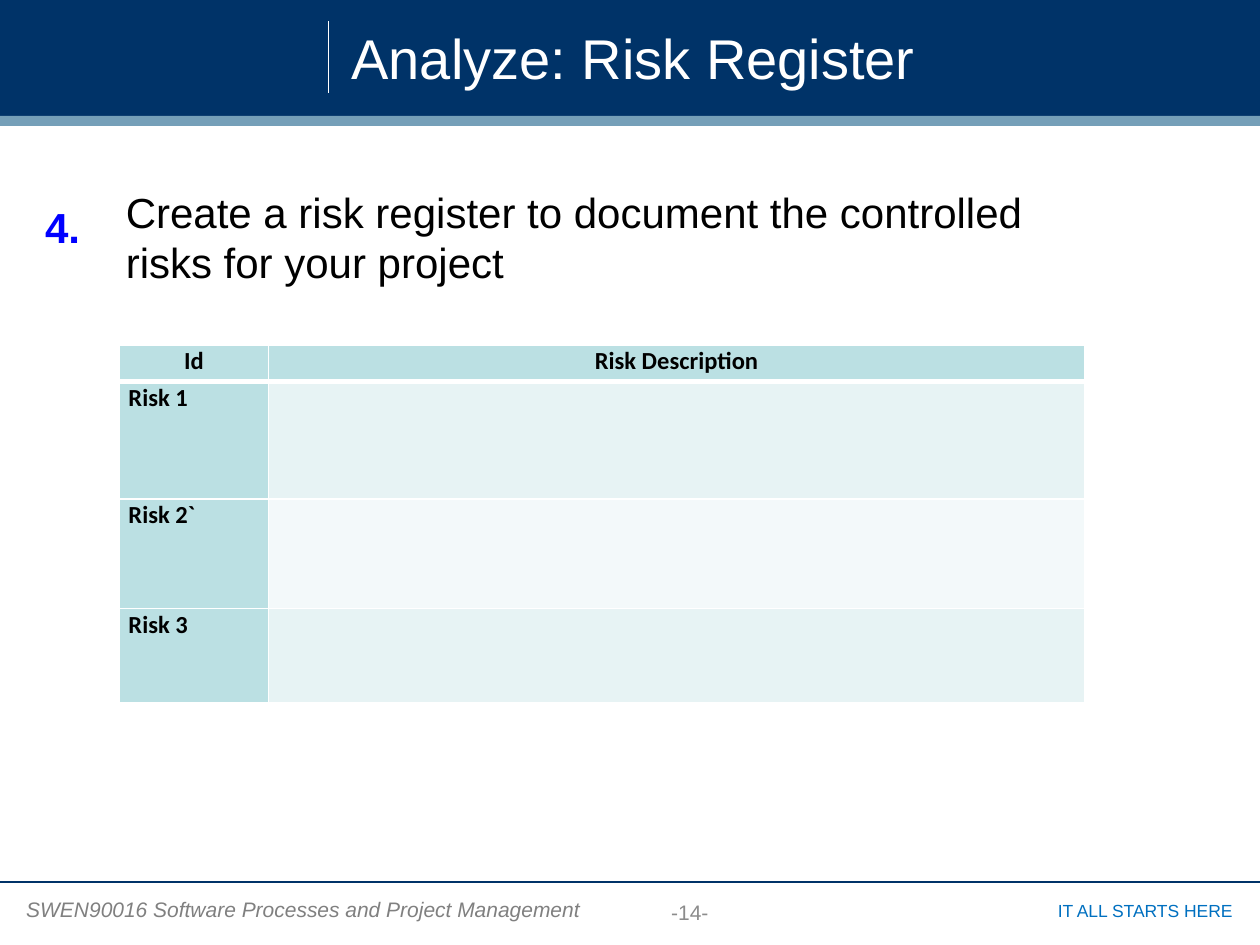
from lxml import etree
from pptx import Presentation
from pptx.dml.color import RGBColor
from pptx.enum.shapes import MSO_CONNECTOR, MSO_SHAPE
from pptx.enum.text import MSO_ANCHOR, PP_ALIGN
from pptx.oxml.ns import qn
from pptx.util import Inches, Pt

LEFT, CENTER, RIGHT = PP_ALIGN.LEFT, PP_ALIGN.CENTER, PP_ALIGN.RIGHT
TOP, MIDDLE = MSO_ANCHOR.TOP, MSO_ANCHOR.MIDDLE

COLORS = {
    "navy": "003368", "steel": "759FB8", "white": "FFFFFF", "black": "000000",
    "gray": "808080", "page": "8C8C8C", "link": "0070C0", "number": "0000FF",
    "head": "BBE0E3", "odd": "E7F3F4", "even": "F3F9FA",
}

TITLE = "Analyze: Risk Register"
BANDS = [((0, 0, 10, 0.92), "navy"), ((0, 0.92, 10, 0.08), "steel")]
RULES = [((2.61, 0.17, 2.61, 0.74), "white"), ((0, 7, 10, 7), "navy")]
# text, box, size, color, alignment, anchor, bold, italic, wrap
TEXTS = [
    ("SWEN90016 Software Processes and Project Management",
     (0.11, 7.07, 4.63, 0.3), 12, "gray", LEFT, TOP, False, True, False),
    ("IT ALL STARTS HERE",
     (7.82, 7.09, 2.06, 0.27), 10, "link", RIGHT, TOP, False, False, True),
    ("-14-", (3.97, 7.07, 3.01, 0.34), 12, "page", CENTER, MIDDLE, False, False, True),
    ("Create a risk register to document the controlled risks for your project",
     (0.9, 1.43, 7.88, 0.91), 24, "black", LEFT, TOP, False, False, True),
    ("4.", (0.26, 1.55, 0.62, 0.5), 24, "number", LEFT, TOP, True, False, True),
]
REGISTER = [("Id", "Risk Description"), ("Risk 1", ""), ("Risk 2`", ""), ("Risk 3", "")]
REGISTER_AT = (0.95, 2.74)
COLUMN_WIDTHS = [1.18, 6.48]
ROW_HEIGHTS = [0.29, 0.93, 0.87, 0.75]


def rgb(name):
    return RGBColor.from_string(COLORS[name])


def inches(values):
    return [Inches(value) for value in values]


def style(paragraph, size, color, align=LEFT, bold=False, italic=False, face="Arial"):
    paragraph.alignment = align
    font = paragraph.font
    font.name, font.size = face, Pt(size)
    font.bold, font.italic = bold, italic
    font.color.rgb = rgb(color)


def add_band(slide, box, color):
    band = slide.shapes.add_shape(MSO_SHAPE.RECTANGLE, *inches(box))
    band.shadow.inherit = False
    band.fill.solid()
    band.fill.fore_color.rgb = rgb(color)
    band.line.fill.background()


def add_rule(slide, ends, color):
    rule = slide.shapes.add_connector(MSO_CONNECTOR.STRAIGHT, *inches(ends))
    rule.line.color.rgb = rgb(color)
    rule.line.width = Pt(0.75)
    etree.SubElement(rule._element.spPr, qn("a:effectLst"))


def add_text(slide, text, box, size, color, align, anchor, bold, italic, wrap):
    frame = slide.shapes.add_textbox(*inches(box)).text_frame
    frame.word_wrap = wrap
    frame.vertical_anchor = anchor
    frame.text = text
    style(frame.paragraphs[0], size, color, align, bold, italic)


def set_borders(cell, widths):
    """Draw white borders; widths are points for left, right, top, bottom."""
    properties = cell._tc.get_or_add_tcPr()
    for index, (side, width) in enumerate(zip("LRTB", widths)):
        border = etree.Element(qn(f"a:ln{side}"), w=str(Pt(width)))
        fill = etree.SubElement(border, qn("a:solidFill"))
        etree.SubElement(fill, qn("a:srgbClr"), val=COLORS["white"])
        properties.insert(index, border)


def add_register(slide):
    size = (sum(COLUMN_WIDTHS), sum(ROW_HEIGHTS))
    table = slide.shapes.add_table(
        len(REGISTER), len(COLUMN_WIDTHS), *inches(REGISTER_AT + size)).table
    for column, width in zip(table.columns, COLUMN_WIDTHS):
        column.width = Inches(width)
    for r, (row, height) in enumerate(zip(REGISTER, ROW_HEIGHTS)):
        table.rows[r].height = Inches(height)
        for c, text in enumerate(row):
            cell = table.cell(r, c)
            cell.margin_left = cell.margin_right = Inches(0.07)
            cell.margin_top, cell.margin_bottom = Inches(0.01), 0
            cell.text = text
            style(cell.text_frame.paragraphs[0], 14, "black",
                  CENTER if r == 0 else LEFT, bold=True, face="Calibri")
            shade = "head" if r == 0 or c == 0 else "odd" if r % 2 else "even"
            cell.fill.solid()
            cell.fill.fore_color.rgb = rgb(shade)
            set_borders(cell, (1, 1, 3 if r == 1 else 1, 3 if r == 0 else 1))


def add_title(slide):
    title = slide.shapes.title
    title.left, title.top, title.width, title.height = inches((2.69, 0.08, 7.22, 0.75))
    title.text_frame.text = TITLE
    title.text_frame.vertical_anchor = MIDDLE
    style(title.text_frame.paragraphs[0], 32, "white")
    # Bring the title in front of the header band
    slide.shapes._spTree.append(title._element)


def main():
    deck = Presentation()
    deck.slide_width, deck.slide_height = Inches(10), Inches(7.5)
    slide = deck.slides.add_slide(deck.slide_layouts[5])
    for box, color in BANDS:
        add_band(slide, box, color)
    for ends, color in RULES:
        add_rule(slide, ends, color)
    add_title(slide)
    for text in TEXTS:
        add_text(slide, *text)
    add_register(slide)
    deck.save("out.pptx")


if __name__ == "__main__":
    main()
